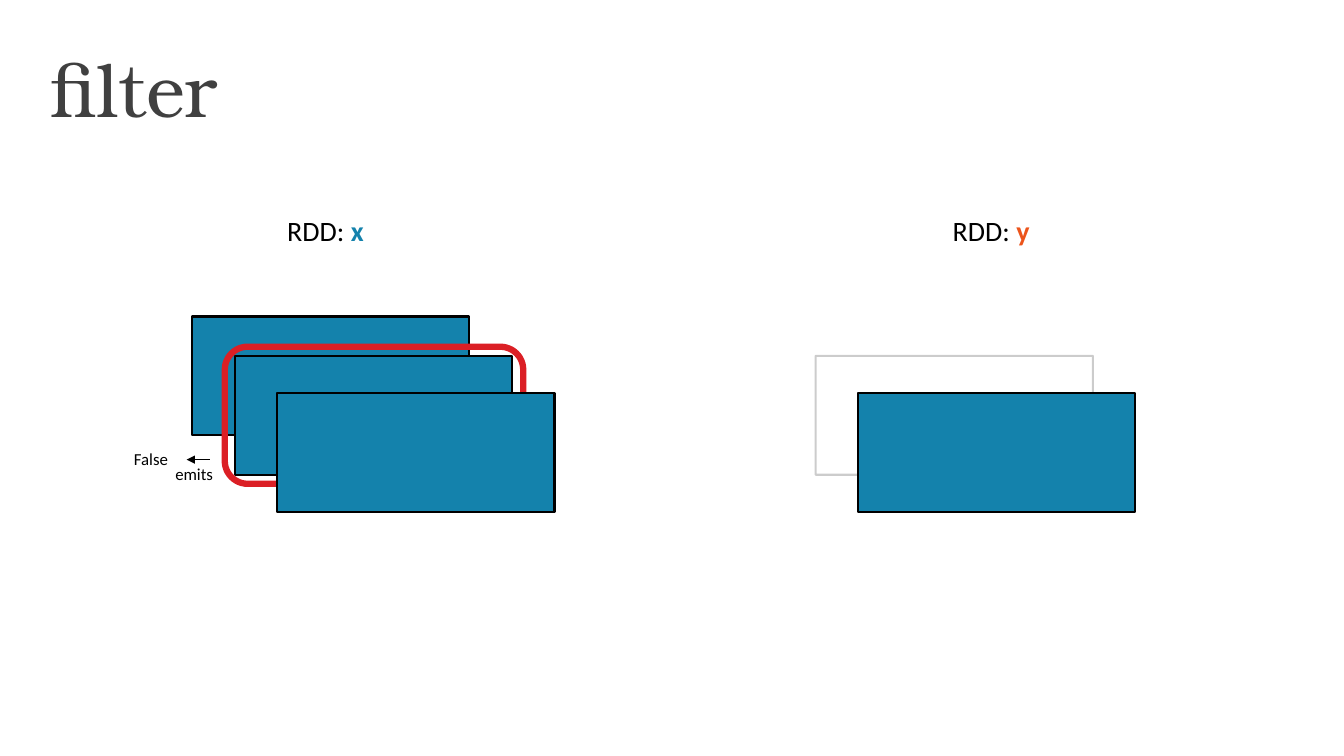
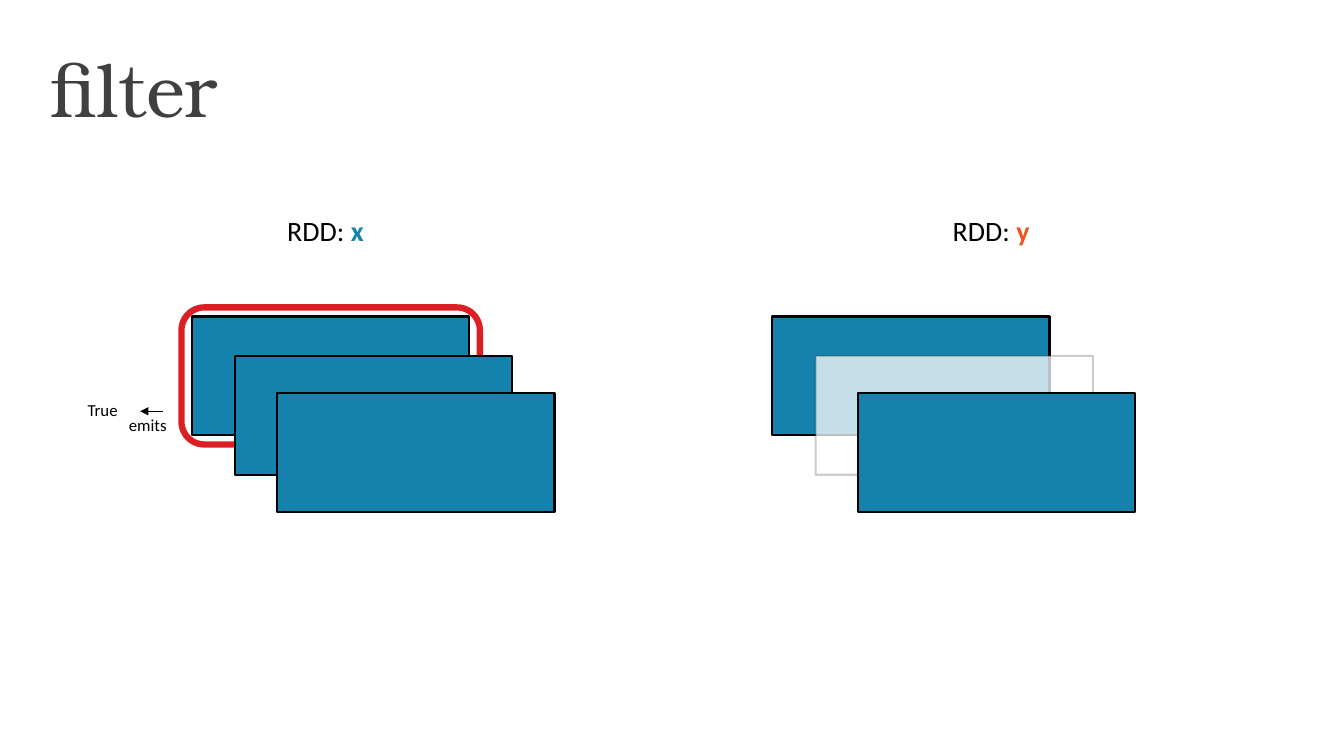
from dataclasses import dataclass

from lxml.etree import SubElement
from pptx import Presentation
from pptx.dml.color import RGBColor
from pptx.enum.shapes import MSO_CONNECTOR, MSO_SHAPE
from pptx.enum.text import MSO_ANCHOR
from pptx.oxml.ns import qn
from pptx.util import Inches, Pt


@dataclass(frozen=True)
class Theme:
    blue: str = "1482AC"
    orange: str = "EC541B"
    red: str = "DB1F25"
    black: str = "000000"
    white: str = "FFFFFF"
    title_gray: str = "404040"
    title_font: str = "TeX Gyre Bonum"
    body_font: str = "Calibri"
    title_size: int = 53
    heading_size: int = 20
    label_size: int = 12


THEME = Theme()

TITLE = "filter"
HEADINGS = [("x", THEME.blue, 2.75), ("y", THEME.orange, 9.35)]
PAGES = [
    {"tested": 1, "result": "False", "arrow": (2.08, 4.56),
     "kept": [None, "outline", "solid"]},
    {"tested": 0, "result": "True", "arrow": (1.62, 4.08),
     "kept": ["solid", "veil", "solid"]},
]

CARD_SIZE = (2.75, 1.18)
CARD_SPOTS = [(1.9, 3.14), (2.33, 3.53), (2.75, 3.9)]
KEPT_SHIFT = 5.76
RING_SIZE = (2.96, 1.36)
RING_MARGIN = (0.1, 0.09)
ARROW_LENGTH = 0.23
LABEL_SIZE = (0.66, 0.3)
EMITS_OFFSET = (-0.44, -0.01)
RESULT_OFFSET = (-0.85, -0.16)


def rgb(color):
    return RGBColor.from_string(color)


def set_opacity(fill_parent, percent):
    color = fill_parent.find(".//" + qn("a:srgbClr"))
    SubElement(color, qn("a:alpha")).set("val", str(percent * 1000))


def add_text(page, spot, size, runs, font, points, title=False):
    box = page.shapes.add_textbox(*map(Inches, (*spot, *size)))
    frame = box.text_frame
    frame.word_wrap = True
    para = frame.paragraphs[0]
    if title:
        frame.margin_left = frame.margin_right = Inches(0.13)
        frame.margin_top = frame.margin_bottom = Inches(0.07)
        frame.vertical_anchor = MSO_ANCHOR.MIDDLE
        para.line_spacing = 0.9
    for text, color, bold in runs:
        span = para.add_run()
        span.text = text
        span.font.name = font
        span.font.size = Pt(points)
        span.font.bold = bold
        span.font.color.rgb = rgb(color)


def add_outline(page, kind, spot, size, fill, line, width):
    shape = page.shapes.add_shape(kind, *map(Inches, (*spot, *size)))
    shape.shadow.inherit = False
    if fill:
        shape.fill.solid()
        shape.fill.fore_color.rgb = rgb(fill)
    else:
        shape.fill.background()
    shape.line.color.rgb = rgb(line)
    shape.line.width = Pt(width)
    return shape


def add_card(page, spot, style="solid"):
    fill = {"solid": THEME.blue, "veil": THEME.white, "outline": None}[style]
    card = add_outline(page, MSO_SHAPE.RECTANGLE, spot, CARD_SIZE, fill, THEME.black, 1.5)
    properties = card.element.spPr
    if style == "veil":
        set_opacity(properties.find(qn("a:solidFill")), 75)
    if style != "solid":
        set_opacity(properties.find(qn("a:ln")), 20)


def add_ring(page, card_spot):
    spot = [place - margin for place, margin in zip(card_spot, RING_MARGIN)]
    add_outline(page, MSO_SHAPE.ROUNDED_RECTANGLE, spot, RING_SIZE, None, THEME.red, 4.5)


def add_emission(page, start, result):
    left, top = start
    arrow = page.shapes.add_connector(
        MSO_CONNECTOR.STRAIGHT,
        *map(Inches, (left, top, left - ARROW_LENGTH, top)))
    arrow.line.color.rgb = rgb(THEME.black)
    arrow.line.width = Pt(1)
    properties = arrow.element.spPr
    SubElement(properties.find(qn("a:ln")), qn("a:tailEnd")).set("type", "triangle")
    SubElement(properties, qn("a:effectLst"))
    for text, (across, down) in (("emits", EMITS_OFFSET), (result, RESULT_OFFSET)):
        add_text(page, (left + across, top + down), LABEL_SIZE,
                 [(text, THEME.black, False)], THEME.body_font, THEME.label_size)


def build_page(deck, content):
    page = deck.slides.add_slide(deck.slide_layouts[6])
    add_text(page, (0.37, 0.3), (12.48, 1.25), [(TITLE, THEME.title_gray, False)],
             THEME.title_font, THEME.title_size, title=True)
    for name, color, left in HEADINGS:
        add_text(page, (left, 2.07), (1.55, 0.44),
                 [("RDD: ", THEME.black, False), (name, color, True)],
                 THEME.body_font, THEME.heading_size)
    for index, spot in enumerate(CARD_SPOTS):
        add_card(page, spot)
        if index == content["tested"]:
            add_ring(page, spot)
    for (left, top), style in zip(CARD_SPOTS, content["kept"]):
        if style:
            add_card(page, (left + KEPT_SHIFT, top), style)
    add_emission(page, content["arrow"], content["result"])


def main():
    deck = Presentation()
    deck.slide_width, deck.slide_height = Inches(13.33), Inches(7.5)
    for content in PAGES:
        build_page(deck, content)
    deck.save("out.pptx")


if __name__ == "__main__":
    main()
